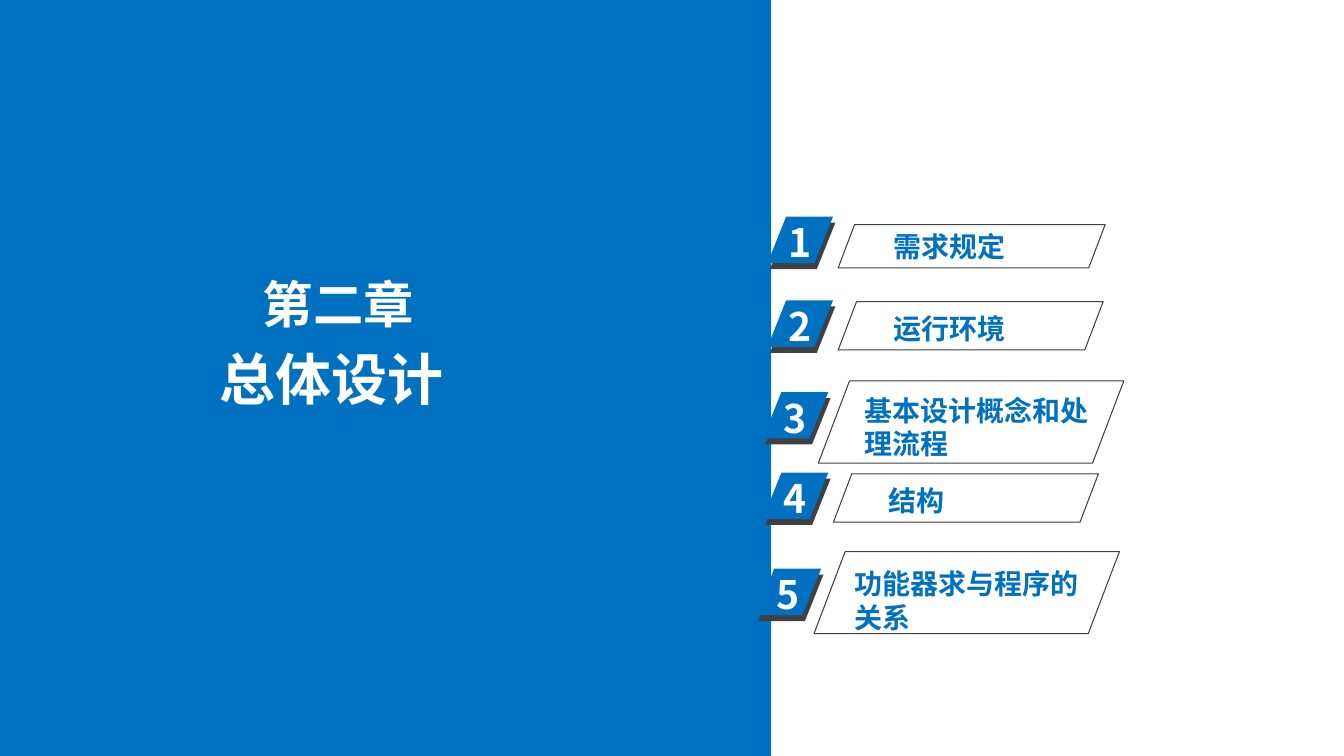
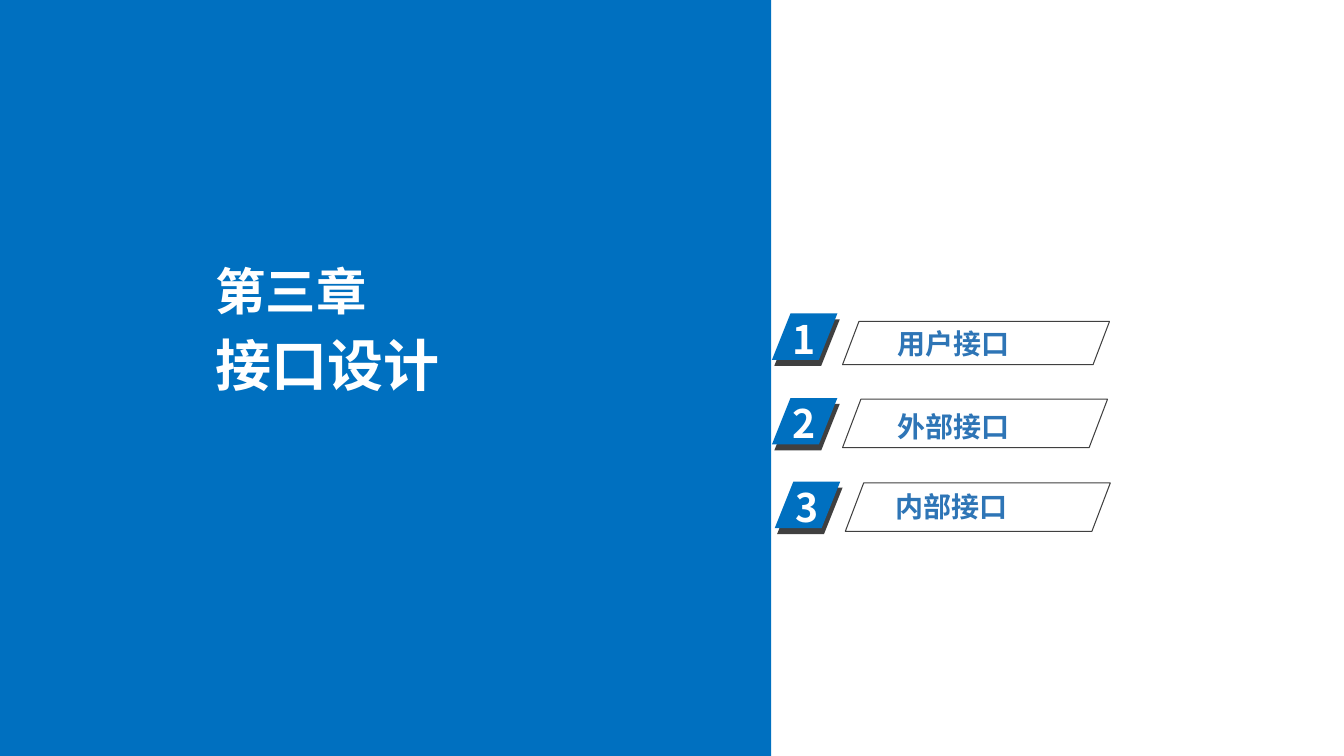
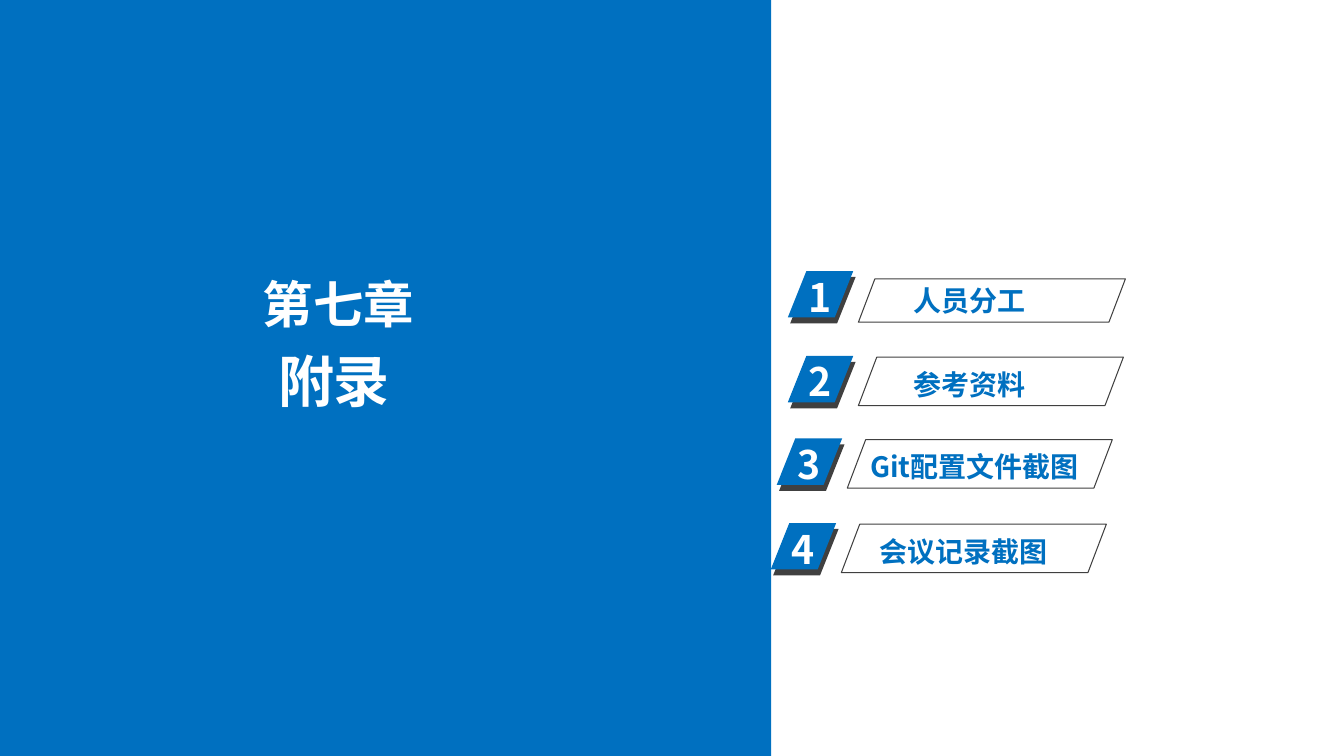
from pptx import Presentation
from pptx import util as u
from pptx.dml.color import RGBColor
from pptx.enum import shapes, text
from pptx.oxml import ns

FONT = "Noto Sans CJK SC"
BLUE, STEEL, DARK, WHITE = "0070C0", "2E75B6", "404040", "FFFFFF"
WIDE, HIGH, BAND = 33.88, 19.05, 19.44
SLANT = shapes.MSO_SHAPE.PARALLELOGRAM

# Frame (dx, dy from badge, width, height), label (dx, dy from frame, width)
KINDS = {
    "slim": ((1.78, 0.2, 6.73, 1.09), (1.14, 0, 7.7)),
    "norm": ((1.78, 0.03, 6.68, 1.22), (1.14, 0.13, 7.7)),
    "tall": ((1.4, -0.28, 7.7, 2.07), (0.91, 0.18, 6.27)),
    "low": ((1.47, -0.43, 7.7, 2.07), (0.76, 0.25, 6.4)),
}


def color(code):
    return RGBColor.from_string(code)


def cms(*box):
    return [u.Cm(v) for v in box]


def shape(host, kind, box, fill=None, line=None, slant=None):
    item = host.add_shape(kind, *cms(*box))
    item.shadow.inherit = False
    if fill:
        item.fill.solid()
        item.fill.fore_color.rgb = color(fill)
    else:
        item.fill.background()
    if line:
        item.line.color.rgb = color(line)
        item.line.width = u.Pt(0.75)
    else:
        item.line.fill.background()
    if slant is not None:
        item.adjustments[0] = slant
    return item


def write(host, words, box, size=20, ink=WHITE, align=text.PP_ALIGN.LEFT):
    frame = host.add_textbox(*cms(*box)).text_frame
    frame.word_wrap = True
    par = frame.paragraphs[0]
    par.alignment = align
    run = par.add_run()
    run.text = words
    font = run.font
    font.name, font.size, font.bold = FONT, u.Pt(size), True
    font.color.rgb = color(ink)
    # East Asian typeface follows the Latin one
    east = run._r.get_or_add_rPr().makeelement(ns.qn("a:ea"), {"typeface": FONT})
    run._r.rPr.find(ns.qn("a:latin")).addnext(east)


def badge(host, num, x, y):
    group = host.add_group_shape().shapes
    for off, down, fill in ((0.06, 0.15, DARK), (0, 0, BLUE)):
        shape(group, SLANT, (x + off, y + down, 1.65, 1.17), fill, slant=0.4)
    write(group, str(num), (x + 0.28, y - 0.08, 1.75, 1.45), size=28)


def entry(host, num, row, ink):
    words, kind, x, y, *shift = row
    (dx, dy, wide, high), (lx, ly, span) = KINDS[kind]
    lx, ly = shift or (lx, ly)
    badge(host, num, x, y)
    left, top = x + dx, y + dy
    shape(host, SLANT, (left, top, wide, high), line=DARK, slant=0.38)
    write(host, words, (left + lx, top + ly, span, 1.12), ink=ink)


def chapter(deck, head, name, rows, ink=BLUE):
    host = deck.slides.add_slide(deck.slide_layouts[6]).shapes
    # Blue band with the chapter title
    shape(host, shapes.MSO_SHAPE.RECTANGLE, (0, 0, BAND, HIGH), BLUE)
    write(host, head[0], (*head[1], 4.6, 1.78), size=36)
    write(host, name[0], name[1], size=40, align=name[2])
    # Numbered contents
    for num, row in enumerate(rows, 1):
        entry(host, num, row, ink)


def main():
    deck = Presentation()
    deck.slide_width, deck.slide_height = cms(WIDE, HIGH)
    left, mid = text.PP_ALIGN.LEFT, text.PP_ALIGN.CENTER

    chapter(deck, ("第二章", (6.38, 6.76)),
            ("总体设计", (3.56, 8.56, 9.58, 1.96), mid), [
        ("需求规定", "slim", 19.35, 5.46),
        ("运行环境", "norm", 19.35, 7.57),
        ("基本设计概念和处理流程", "tall", 19.23, 9.88),
        ("结构", "norm", 19.23, 11.91),
        ("功能器求与程序的关系", "low", 19.05, 14.33),
    ])
    chapter(deck, ("第三章", (5.18, 6.43)),
            ("接口设计", (5.18, 8.2, 9.96, 1.96), left), [
        ("用户接口", "slim", 19.46, 7.9),
        ("外部接口", "norm", 19.46, 10.03),
        ("内部接口", "norm", 19.53, 12.14, 1.02, 0.03),
    ], ink=STEEL)
    chapter(deck, ("第七章", (6.38, 6.76)),
            ("附录", (6.76, 8.61, 4.6, 1.96), left), [
        ("人员分工", "slim", 19.86, 6.83),
        ("参考资料", "norm", 19.86, 8.97),
        ("Git配置文件截图", "norm", 19.58, 11.05, 0.33, 0.13),
        ("会议记录截图", "norm", 19.43, 13.18, 0.71, 0.13),
    ])
    deck.save("out.pptx")


if __name__ == "__main__":
    main()
